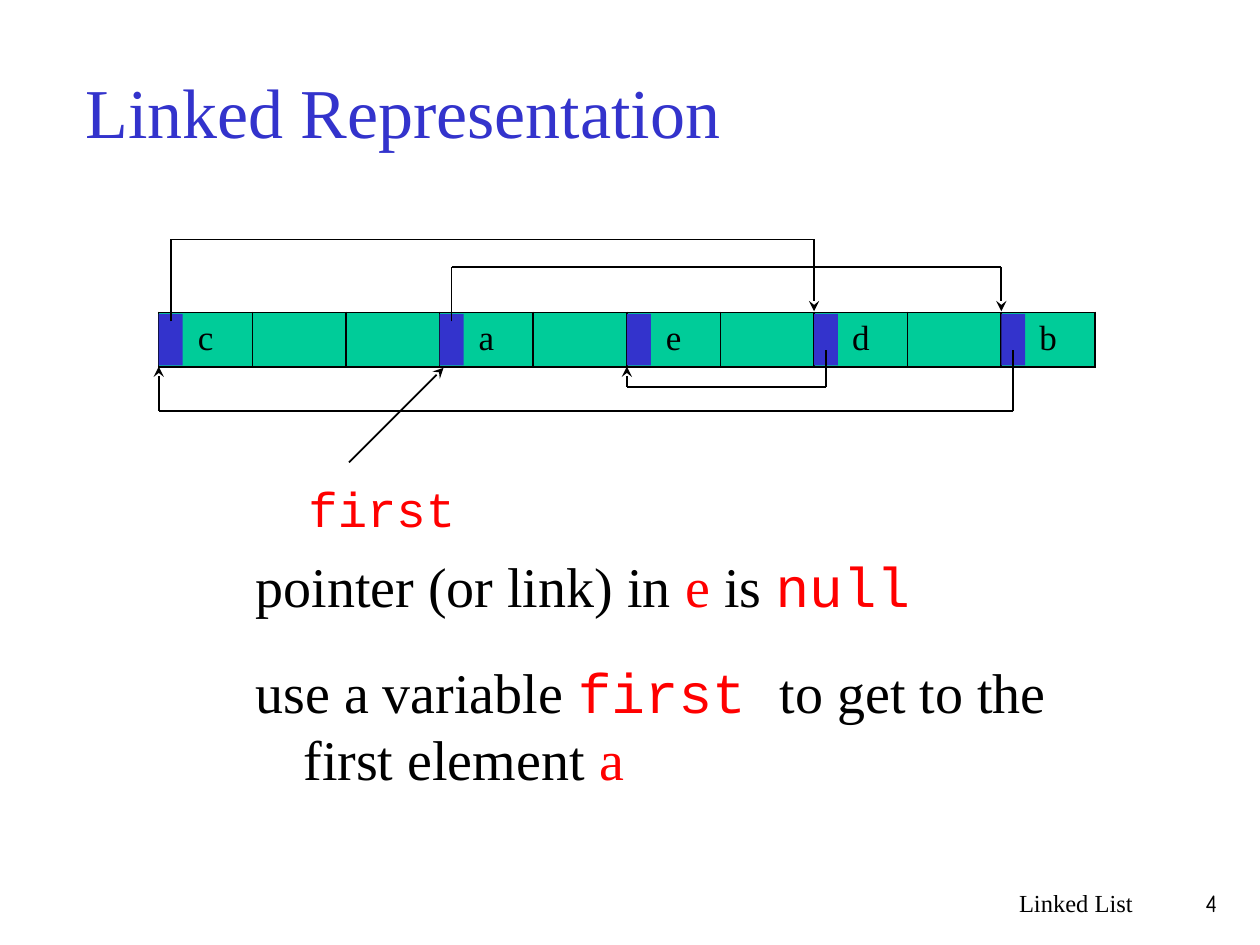
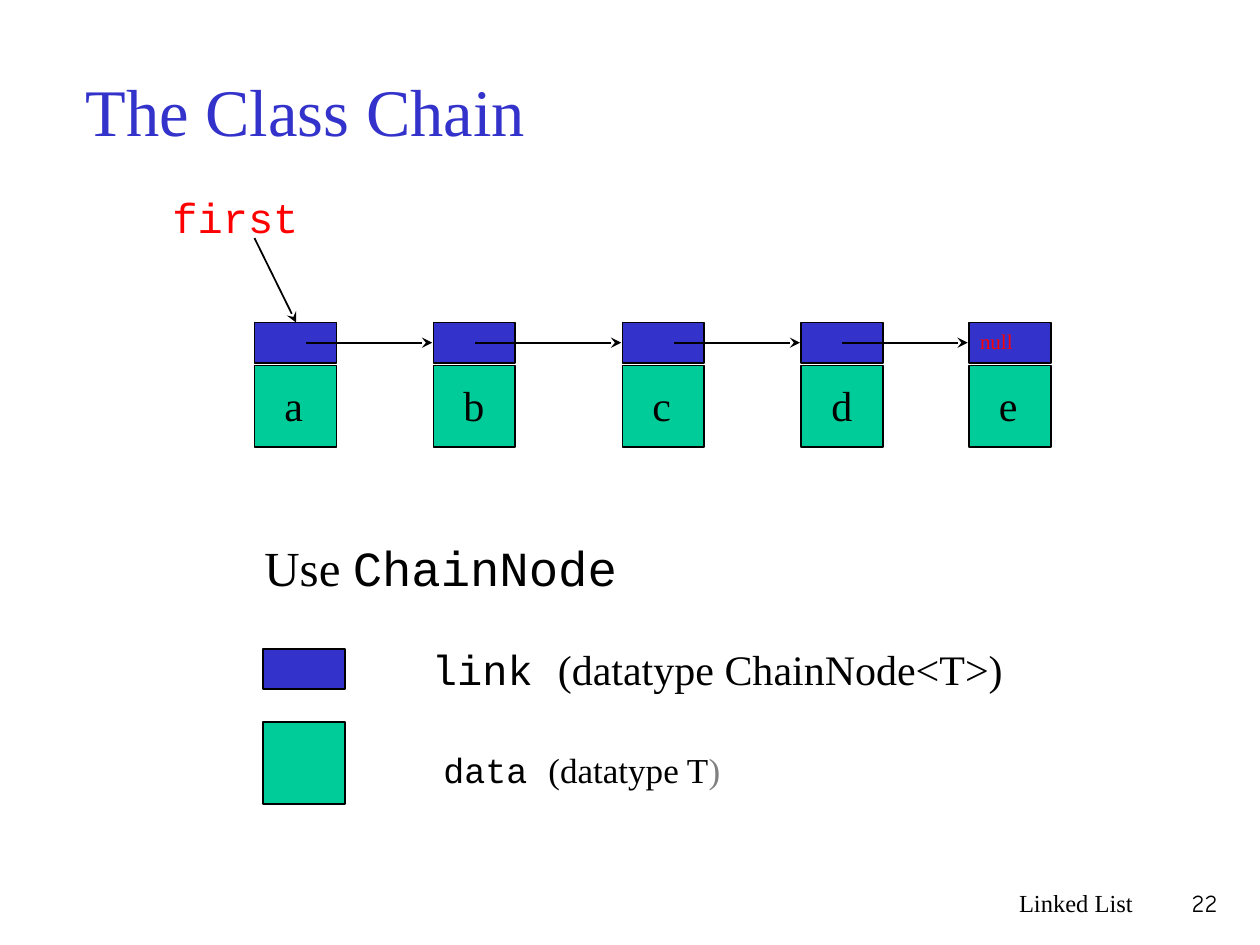
import pptx
import pptx.util
import pptx.dml.color
import pptx.enum.shapes
import pptx.enum.text
import pptx.oxml.ns
import lxml.etree
from dataclasses import dataclass

Inches = pptx.util.Inches
qn = pptx.oxml.ns.qn


@dataclass(frozen=True)
class Theme:
    serif: str = "Times New Roman"
    mono: str = "Courier New"
    number_font: str = "Comic Neue"
    black: str = "000000"
    red: str = "FF0000"
    grey: str = "808080"
    link: str = "3333CC"
    data: str = "00CC99"
    line: float = 1
    title: int = 40
    title_small: int = 38
    body: int = 32
    heading: int = 28
    label: int = 24
    small: int = 20
    footer: int = 14
    tiny: int = 12


T = Theme()

# Content: runs are (text, font, colour)
FOOTER = "Linked List"
FIRST = [("first", T.mono, T.red)]
NULL = [("null", T.serif, T.red)]

MEMORY = ["c", "", "", "a", "", "e", "", "d", "", "b"]
# (from cell, to cell, height of the horizontal rail)
MEMORY_LINKS = [(3, 9, 2.12), (0, 7, 1.9), (9, 0, 3.26), (7, 5, 3.07)]
NOTES = [
    ((1.93, 4.33, 7.17, 0.68),
     [("pointer (or link) in ", T.serif, T.black), ("e", T.serif, T.red),
      (" is ", T.serif, T.black), ("null", T.mono, T.red)]),
    ((1.93, 5.17, 7, 1.37),
     [("use a variable ", T.serif, T.black), ("first ", T.mono, T.red),
      ("to get to the first element ", T.serif, T.black), ("a", T.serif, T.red)]),
]

# (element, left edge, offset where its link arrow starts)
CHAIN = [("a", 2.02, 0.41), ("b", 3.44, 0.33), ("c", 4.94, 0.41),
         ("d", 6.36, 0.32), ("e", 7.69, None)]
# (position, size, runs)
LEGEND = [
    ((2, 4.22, 5.92, 0.57), T.heading,
     [("Use ", T.serif, T.black), ("ChainNode", T.mono, T.black)]),
    ((3.33, 5.06, 5.5, 0.51), T.label,
     [("link ", T.mono, T.black), ("(datatype ChainNode<T>)", T.serif, T.black)]),
    ((3.42, 5.89, 5.5, 0.43), T.small,
     [("data ", T.mono, T.black), ("(datatype T", T.serif, T.black),
      (")", T.serif, T.grey)]),
]

# Geometry in inches
TABLE_LEFT, TABLE_TOP, TABLE_W, TABLE_H = 1.26, 2.48, 7.43, 0.43
CELL_W = TABLE_W / len(MEMORY)
LINK_W, LINK_H = 0.19, 0.41
NODE_W, NODE_LINK_H, NODE_TOP, DATA_TOP = 0.65, 0.32, 2.56, 2.9


def rgb(value):
    return pptx.dml.color.RGBColor.from_string(value)


def style(r, size, font, color):
    r.font.size = pptx.util.Pt(size)
    r.font.name = font
    r.font.color.rgb = rgb(color)


def add_text(s, at, runs, size, align="LEFT", anchor="TOP", wrap=True, hanging=0):
    tf = s.shapes.add_textbox(*map(Inches, at)).text_frame
    tf.word_wrap = wrap
    tf.vertical_anchor = pptx.enum.text.MSO_ANCHOR[anchor]
    p = tf.paragraphs[0]
    p.alignment = pptx.enum.text.PP_ALIGN[align]
    if hanging:
        pPr = p._p.get_or_add_pPr()
        pPr.set("marL", str(Inches(hanging)))
        pPr.set("indent", str(-Inches(hanging)))
    for text, font, color in runs:
        r = p.add_run()
        r.text = text
        style(r, size, font, color)


def add_block(s, at, color, outline=True):
    sp = s.shapes.add_shape(pptx.enum.shapes.MSO_SHAPE.RECTANGLE, *map(Inches, at))
    sp.shadow.inherit = False
    sp.fill.solid()
    sp.fill.fore_color.rgb = rgb(color)
    if outline:
        sp.line.color.rgb = rgb(T.black)
        sp.line.width = pptx.util.Pt(T.line)
    else:
        sp.line.fill.background()


def add_line(s, start, end, arrow=False):
    cn = s.shapes.add_connector(pptx.enum.shapes.MSO_CONNECTOR.STRAIGHT,
                                *map(Inches, start + end))
    cn.line.color.rgb = rgb(T.black)
    cn.line.width = pptx.util.Pt(T.line)
    spPr = cn._element.spPr
    if arrow:
        lxml.etree.SubElement(spPr.find(qn("a:ln")), qn("a:tailEnd"), type="stealth")
    lxml.etree.SubElement(spPr, qn("a:effectLst"))


def border_cell(cell):
    tcPr = cell._tc.get_or_add_tcPr()
    for i, side in enumerate(("lnL", "lnR", "lnT", "lnB")):
        ln = lxml.etree.Element(qn("a:" + side), w=str(pptx.util.Pt(T.line)))
        fill = lxml.etree.SubElement(ln, qn("a:solidFill"))
        lxml.etree.SubElement(fill, qn("a:srgbClr"), val=T.black)
        tcPr.insert(i, ln)


def new_slide(prs, title, number, title_size):
    s = prs.slides.add_slide(prs.slide_layouts[6])
    add_text(s, (0.58, 0.25, 8.5, 1.25), [(title, T.serif, T.link)], title_size,
             anchor="MIDDLE")
    add_text(s, (5.92, 7, 3.17, 0.5), [(FOOTER, T.serif, T.black)], T.footer, "RIGHT")
    add_text(s, (9.08, 7, 0.68, 0.5), [(number, T.number_font, T.black)], T.footer,
             "RIGHT")
    return s


def add_memory_table(s):
    frame = s.shapes.add_table(1, len(MEMORY), *map(
        Inches, (TABLE_LEFT, TABLE_TOP, TABLE_W, TABLE_H)))
    table = frame.table
    table.first_row = table.horz_banding = False
    for cell, text in zip(table.rows[0].cells, MEMORY):
        cell.fill.solid()
        cell.fill.fore_color.rgb = rgb(T.data)
        border_cell(cell)
        if text:
            p = cell.text_frame.paragraphs[0]
            p.text = text
            p.alignment = pptx.enum.text.PP_ALIGN.CENTER
            style(p.runs[0], T.small, T.serif, T.black)


def build_representation(prs):
    s = new_slide(prs, "Linked Representation", "4", T.title)
    for at, runs in NOTES:
        add_text(s, at, runs, T.body, hanging=0.38)
    add_line(s, (2.77, 3.67), (3.52, 2.92), arrow=True)
    add_text(s, (2.35, 3.75, 1.83, 0.57), FIRST, T.heading)

    # Memory cells, with a link block in each used cell
    add_memory_table(s)
    for i, text in enumerate(MEMORY):
        if text:
            add_block(s, (TABLE_LEFT + i * CELL_W, 2.49, LINK_W, LINK_H), T.link,
                      outline=False)

    # Links run over or under the table along a rail
    for source, target, rail in MEMORY_LINKS:
        above = rail < TABLE_TOP
        x1 = TABLE_LEFT + source * CELL_W + LINK_W / 2
        x2 = TABLE_LEFT + target * CELL_W
        y1, y2 = (2.55, 2.47) if above else (2.78, 2.91)
        add_line(s, (x1, y1), (x1, rail))
        add_line(s, (x1, rail), (x2, rail))
        add_line(s, (x2, rail), (x2, y2), arrow=True)


def build_chain(prs):
    s = new_slide(prs, "The Class Chain", "22", T.title_small)

    # Legend
    add_block(s, (2.09, 5.15, NODE_W, NODE_LINK_H), T.link)
    add_block(s, (2.09, 5.73, NODE_W, NODE_W), T.data)
    for at, size, runs in LEGEND:
        add_text(s, at, runs, size)

    # Nodes
    for element, x, _ in CHAIN:
        add_block(s, (x, DATA_TOP, NODE_W, NODE_W), T.data)
        add_block(s, (x, NODE_TOP, NODE_W, NODE_LINK_H), T.link)
        add_text(s, (x + 0.14, 2.96, 0.36, 0.5), [(element, T.serif, T.black)],
                 T.label, wrap=False)

    # Links
    link_y = NODE_TOP + NODE_LINK_H / 2
    for (_, x, offset), (_, next_x, _) in zip(CHAIN, CHAIN[1:]):
        add_line(s, (x + offset, link_y), (next_x - 0.01, link_y), arrow=True)
    add_text(s, (7.68, NODE_TOP, 0.67, 0.3), NULL, T.tiny)
    add_text(s, (1.27, 1.47, 1.83, 0.5), FIRST, T.label)
    add_line(s, (2.02, 1.89), (2.35, NODE_TOP), arrow=True)


def main():
    prs = pptx.Presentation()
    prs.slide_width, prs.slide_height = Inches(10), Inches(7.5)
    build_representation(prs)
    build_chain(prs)
    prs.save("out.pptx")


if __name__ == "__main__":
    main()
